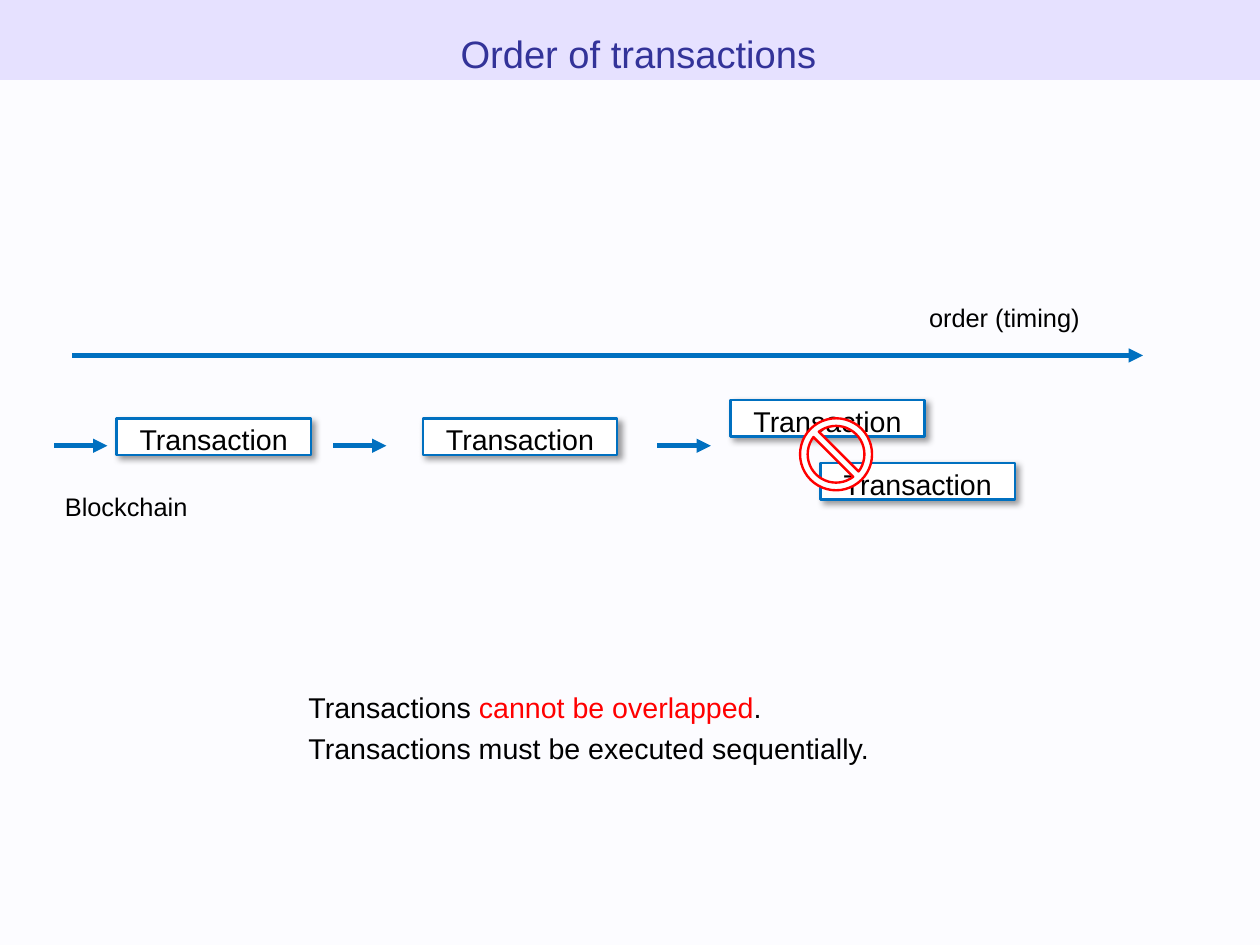
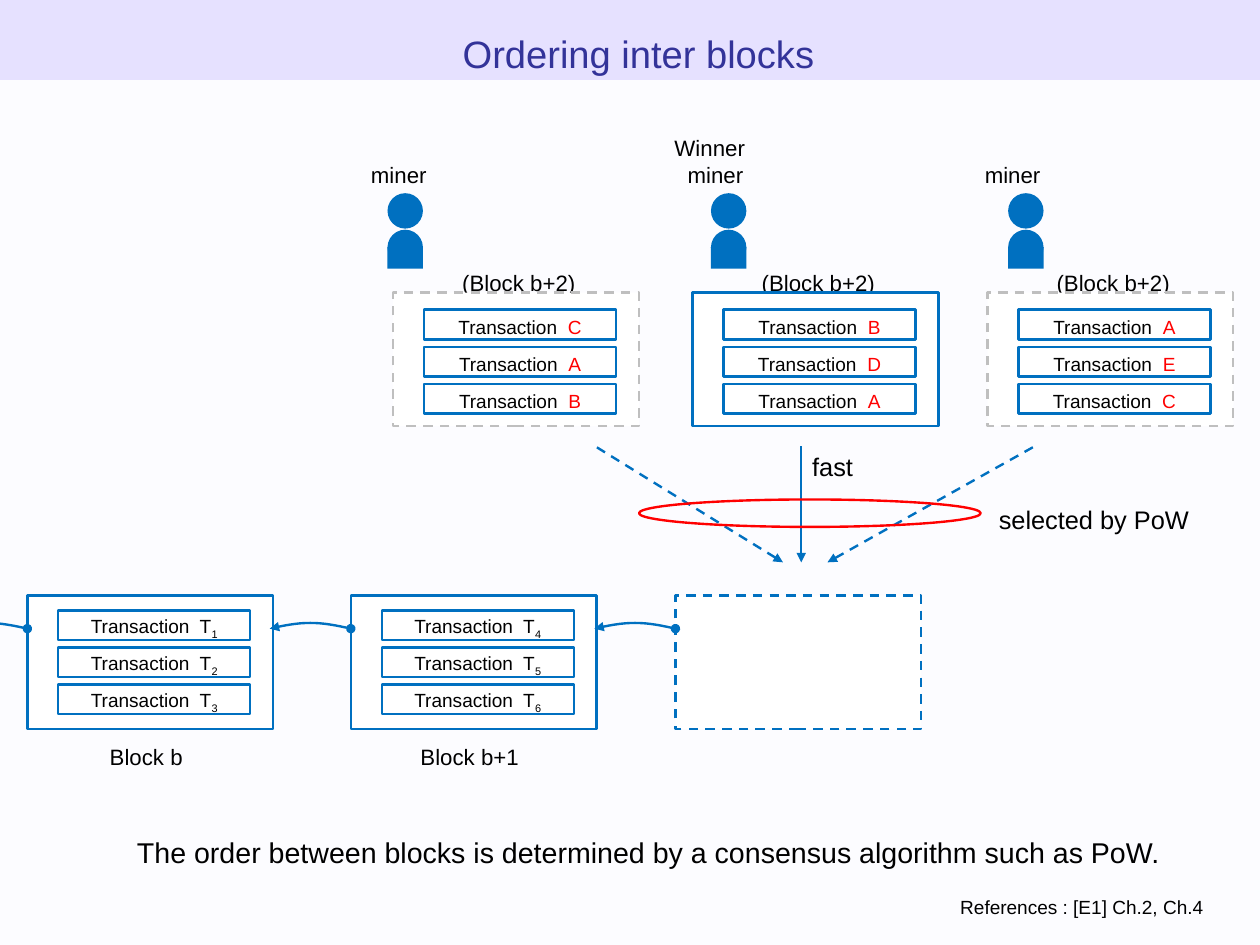
"""Build two slides on the order of blockchain transactions."""
import math

from lxml import etree
from pptx import Presentation
from pptx.dml.color import RGBColor
from pptx.enum.dml import MSO_LINE
from pptx.enum.shapes import MSO_CONNECTOR, MSO_SHAPE
from pptx.enum.text import MSO_ANCHOR, PP_ALIGN
from pptx.oxml.ns import qn
from pptx.util import Inches, Pt

RECTANGLE, ELLIPSE = MSO_SHAPE.RECTANGLE, MSO_SHAPE.OVAL
NO_SYMBOL = MSO_SHAPE.NO_SYMBOL
STRAIGHT, DASH = MSO_CONNECTOR.STRAIGHT, MSO_LINE.DASH
LEFT, CENTER, RIGHT = PP_ALIGN.LEFT, PP_ALIGN.CENTER, PP_ALIGN.RIGHT
TOP, MIDDLE = MSO_ANCHOR.TOP, MSO_ANCHOR.MIDDLE

COLORS = {
    "paper": "FCFCFF",
    "band": "E6E1FF",
    "title": "333399",
    "text": "000000",
    "accent": "0070C0",
    "alert": "FF0000",
    "muted": "BFBFBF",
    "white": "FFFFFF",
}
FONT = "Arial"
CM_PER_INCH = 2.54
SLIDE_WIDTH, SLIDE_HEIGHT = 28 / CM_PER_INCH, 21 / CM_PER_INCH
LINE_SPACING = 1.17
BLOCK_WIDTH, BLOCK_HEIGHT = 2.15, 1.17


def color(name):
    """Return the named colour."""
    return RGBColor.from_string(COLORS[name])


def inches(*values):
    """Convert several lengths in inches."""
    return [Inches(value) for value in values]


def style_line(line, name, width=1.5, dash=None):
    """Set colour, width and dash of a line."""
    line.color.rgb = color(name)
    line.width = Pt(width)
    if dash:
        line.dash_style = dash


def add_line_end(line, end, kind):
    """Put an arrowhead on one end of a line."""
    etree.SubElement(line._get_or_add_ln(), qn(f"a:{end}"), type=kind)


def add_figure(shapes, kind, area, fill=None, line=None, dash=None):
    """Add a flat preset shape."""
    figure = shapes.add_shape(kind, *inches(*area))
    figure.shadow.inherit = False
    if fill:
        figure.fill.solid()
        figure.fill.fore_color.rgb = color(fill)
    else:
        figure.fill.background()
    if line:
        style_line(figure.line, line, dash=dash)
    else:
        figure.line.fill.background()
    return figure


def write(frame, paragraphs, size, align=LEFT, anchor=MIDDLE, ink="text", spacing=LINE_SPACING):
    """Fill a text frame with paragraphs of (text, colour or "sub") pieces."""
    frame.word_wrap = True
    frame.vertical_anchor = anchor
    for index, pieces in enumerate(paragraphs):
        para = frame.add_paragraph() if index else frame.paragraphs[0]
        para.alignment = align
        para.line_spacing = spacing
        for text, mark in pieces:
            span = para.add_run()
            span.text = text
            span.font.name = FONT
            span.font.size = Pt(size)
            span.font.color.rgb = color(mark if mark in COLORS else ink)
            if mark == "sub":
                span._r.get_or_add_rPr().set("baseline", "-25000")


def add_label(page, area, text, size, align=LEFT, **options):
    """Add a text box with one plain paragraph."""
    box = page.shapes.add_textbox(*inches(*area))
    write(box.text_frame, [[(text, None)]], size, align, **options)


def add_arrow(page, tip, base, width=1.5, dash=None):
    """Add a straight arrow whose head is at the tip."""
    arrow = page.shapes.add_connector(STRAIGHT, *inches(*tip, *base))
    style_line(arrow.line, "accent", width, dash)
    add_line_end(arrow.line, "headEnd", "triangle")
    etree.SubElement(arrow._element.spPr, qn("a:effectLst"))


def add_page(deck, title):
    """Add a slide with the shared background, band and title."""
    page = deck.slides.add_slide(deck.slide_layouts[6])
    page.background.fill.solid()
    page.background.fill.fore_color.rgb = color("paper")
    add_figure(page.shapes, RECTANGLE, (0, 0, SLIDE_WIDTH, 0.7), "band")
    add_label(page, (0.39, 0.15, 10.39, 0.95), title, 24, CENTER, anchor=TOP, ink="title")
    return page


def add_card(page, area, pieces, size):
    """Add a white outlined card with centred text."""
    card = add_figure(page.shapes, RECTANGLE, area, "white", "accent")
    write(card.text_frame, [pieces], size, CENTER)
    return card


def add_raised_card(page, left, top):
    """Add a transaction card with a soft shadow."""
    card = add_card(page, (left, top, 1.7, 0.32), [("Transaction", None)], 18)
    effects = card._element.spPr.find(qn("a:effectLst"))
    shadow = etree.SubElement(
        effects, qn("a:outerShdw"), blurRad=str(Pt(4)), dist=str(Pt(3)),
        dir="2700000", algn="tl", rotWithShape="0")
    tint = etree.SubElement(shadow, qn("a:srgbClr"), val=COLORS["text"])
    etree.SubElement(tint, qn("a:alpha"), val="40000")


def add_block(page, left, top, rows, first_row=0.15, line="accent", dash=None):
    """Add a block frame holding a column of transaction cards."""
    area = (left, top, BLOCK_WIDTH, BLOCK_HEIGHT)
    add_figure(page.shapes, RECTANGLE, area, "white", line, dash)
    for index, row in enumerate(rows):
        row_top = top + first_row + index * 0.325
        add_card(page, (left + 0.27, row_top, 1.68, 0.26), row, 12)


def add_chained_block(page, left, top, name, first_number):
    """Add a named block with three numbered transactions."""
    rows = [[("Transaction  T", None), (str(first_number + step), "sub")] for step in range(3)]
    add_block(page, left, top, rows, first_row=0.13)
    add_label(page, (left + 0.26, top + 1.26, 1.56, 0.26), name, 14, CENTER)


def add_candidate(page, left, top, letters, line, dash):
    """Add a proposed block with its label partly behind it."""
    add_label(page, (left + 0.32, top - 0.24, 1.56, 0.26), "(Block b+2)", 14, CENTER)
    rows = [[("Transaction  ", None), (letter, "alert")] for letter in letters]
    add_block(page, left, top, rows, line=line, dash=dash)


def add_miner(page, left, top, label_shift):
    """Add a person icon under the word miner."""
    label_left = left + label_shift - 0.65
    add_label(page, (label_left, top - 0.31, 1.56, 0.26), "miner", 14, CENTER)
    person = page.shapes.add_group_shape()
    parts = ((ELLIPSE, 0, 0.31), (ELLIPSE, 0.32, 0.31), (RECTANGLE, 0.47, 0.19))
    for kind, offset, height in parts:
        add_figure(person.shapes, kind, (left, top + offset, 0.31, height), "accent")


def add_chain_link(page, block_left, height):
    """Add a bowed arrow from a block back to the one before it."""
    steps, length, rise = 16, 0.71, 0.05
    points = [
        inches(block_left - length + length * step / steps,
               height - rise * math.sin(math.pi * step / steps))
        for step in range(steps + 1)
    ]
    builder = page.shapes.build_freeform(*points[0], scale=1.0)
    builder.add_line_segments(points[1:], close=False)
    link = builder.convert_to_shape()
    link.shadow.inherit = False
    link.fill.background()
    style_line(link.line, "accent")
    add_line_end(link.line, "headEnd", "triangle")
    add_line_end(link.line, "tailEnd", "oval")


def build_transactions_page(deck):
    """Build the slide on the order of transactions."""
    page = add_page(deck, "Order of transactions")
    add_arrow(page, (10, 3.11), (0.63, 3.11), 3)
    add_label(page, (8.03, 2.56, 2.13, 0.39), "order (timing)", 16)
    for left, top in ((1.02, 3.66), (3.7, 3.66), (6.39, 3.5), (7.18, 4.05)):
        add_raised_card(page, left, top)
    for left in (0.47, 2.91, 5.75):
        add_arrow(page, (left + 0.47, 3.9), (left, 3.9), 3)
    ban = add_figure(page.shapes, NO_SYMBOL, (7.0, 3.66, 0.63, 0.63), "white", "alert")
    ban.adjustments[0] = 0.106
    add_label(page, (0.47, 4.21, 2.13, 0.39), "Blockchain", 16)
    summary = page.shapes.add_textbox(*inches(2.6, 5.94, 5.91, 0.47))
    write(summary.text_frame, [
        [("Transactions ", None), ("cannot be overlapped", "alert"), (".", None)],
        [("Transactions must be executed sequentially.", None)],
    ], 18, anchor=TOP)


def build_blocks_page(deck):
    """Build the slide on the order between blocks."""
    page = add_page(deck, "Ordering inter blocks")
    chain_top, chain_lefts = 5.21, (0.24, 3.07, 5.91)
    add_chained_block(page, chain_lefts[0], chain_top, "Block b", 1)
    add_chained_block(page, chain_lefts[1], chain_top, "Block b+1", 4)
    add_block(page, chain_lefts[2], chain_top, [], dash=DASH)
    for left in chain_lefts:
        add_chain_link(page, left, 5.5)

    candidates = (
        (3.44, "CAB", "muted", DASH),
        (6.06, "BDA", "accent", None),
        (8.64, "AEC", "muted", DASH),
    )
    for left, letters, line, dash in candidates:
        add_candidate(page, left, 2.56, letters, line, dash)
    add_label(page, (5.43, 1.14, 1.56, 0.26), "Winner", 14, CENTER)
    for left, label_shift in ((3.39, -0.03), (6.22, -0.09), (8.82, -0.09)):
        add_miner(page, left, 1.69, label_shift)

    for base, tip, dash in ((5.2, 6.85, DASH), (7.01, 7.01, None), (9.06, 7.24, DASH)):
        add_arrow(page, (tip, 4.92), (base, 3.9), dash=dash)
    add_figure(page.shapes, ELLIPSE, (5.59, 4.37, 2.99, 0.24), line="alert")
    add_label(page, (6.85, 3.9, 0.87, 0.31), "fast", 16, CENTER)
    add_label(page, (8.43, 4.37, 2.28, 0.31), "selected by PoW", 16, CENTER)
    add_label(
        page, (1.1, 7.28, 9.45, 0.47),
        "The order between blocks is determined by a consensus algorithm such as PoW.",
        18, anchor=TOP, spacing=0.93)
    add_label(page, (0.47, 7.75, 10.16, 0.37), "References : [E1] Ch.2, Ch.4", 12, RIGHT, anchor=TOP)


def main():
    """Build and save the deck."""
    deck = Presentation()
    deck.slide_width, deck.slide_height = inches(SLIDE_WIDTH, SLIDE_HEIGHT)
    build_transactions_page(deck)
    build_blocks_page(deck)
    deck.save("out.pptx")


if __name__ == "__main__":
    main()
